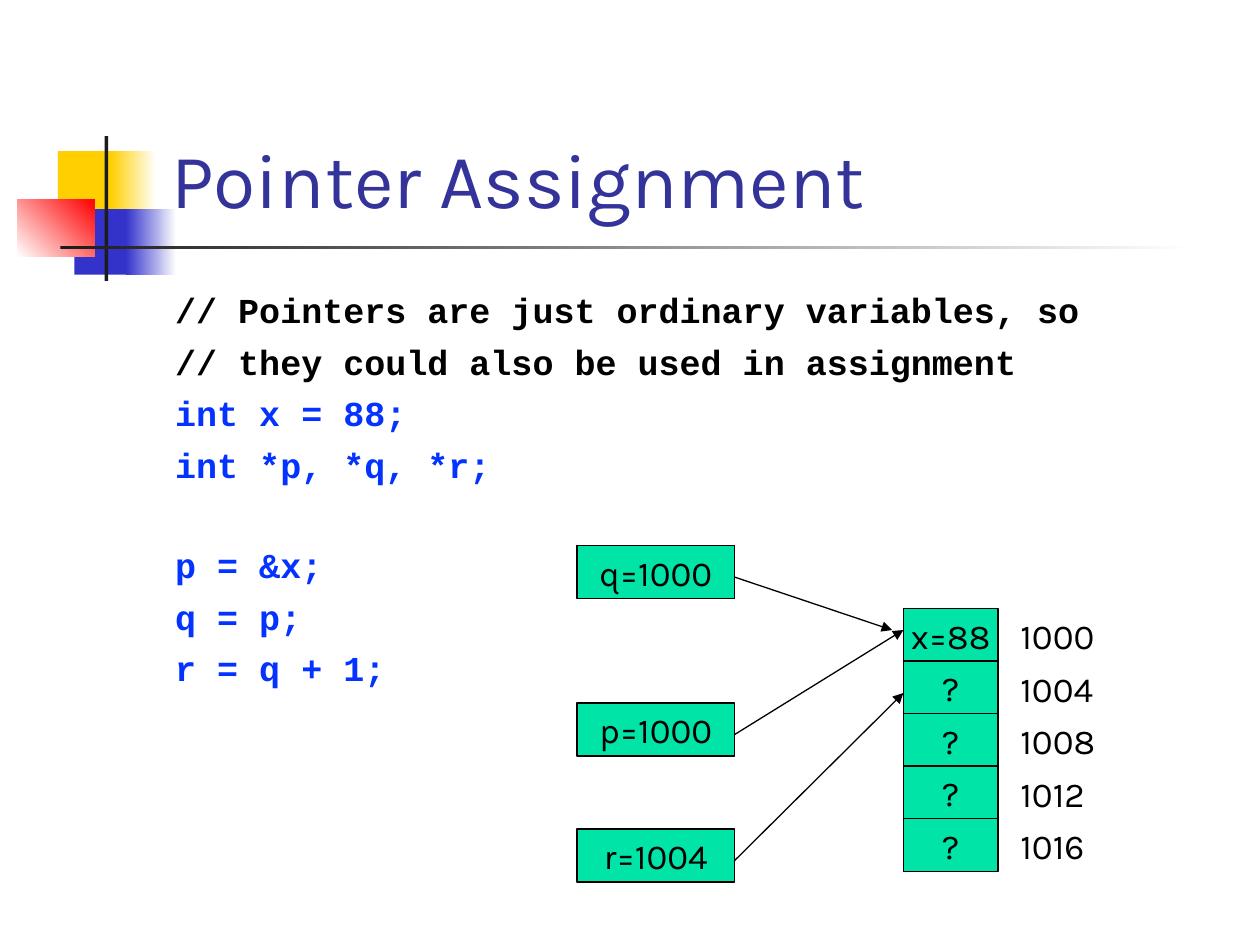
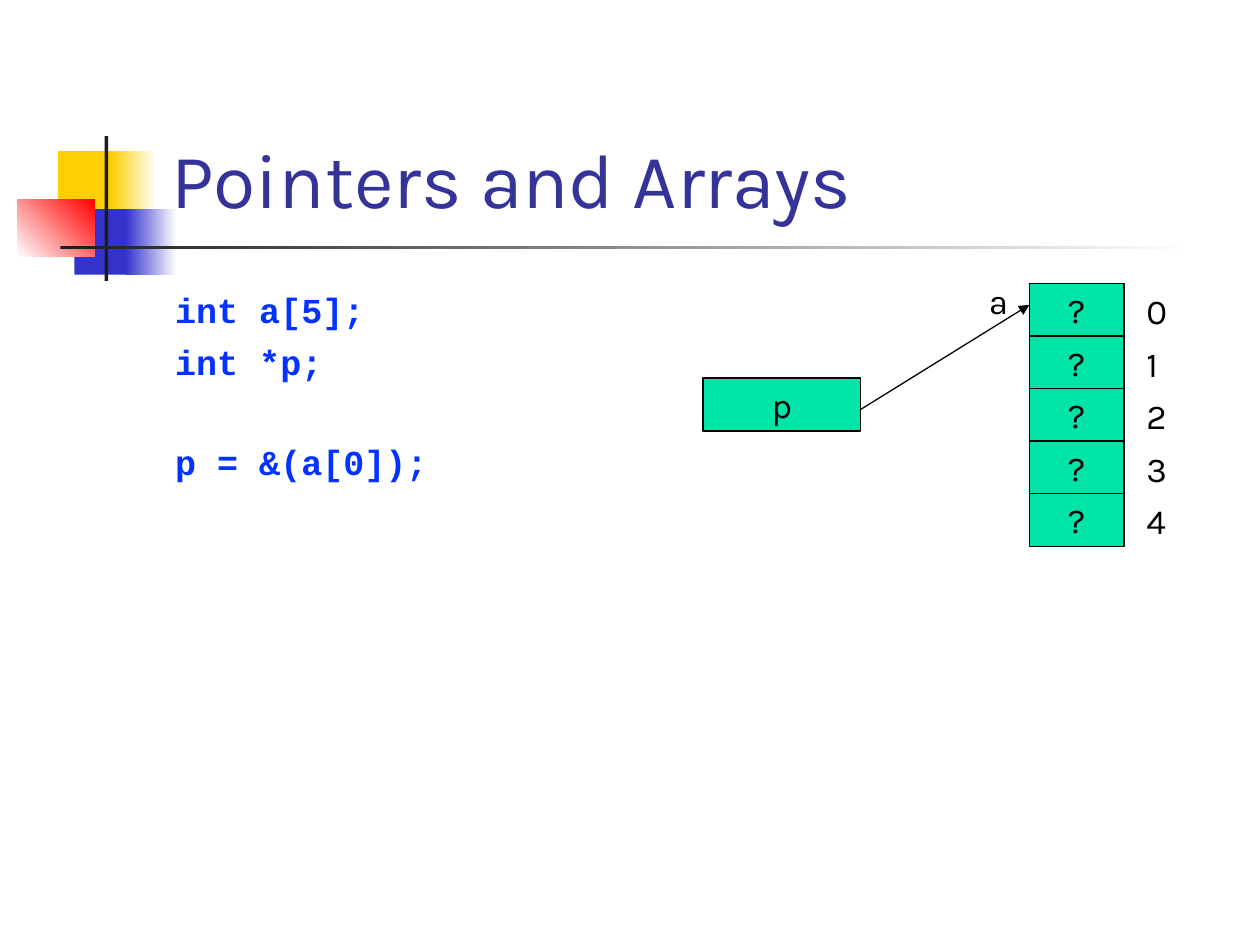
from dataclasses import dataclass
from lxml.etree import SubElement
from pptx import Presentation
from pptx.dml.color import RGBColor
from pptx.enum.shapes import MSO_CONNECTOR, MSO_SHAPE
from pptx.enum.text import MSO_ANCHOR, MSO_AUTO_SIZE, PP_ALIGN
from pptx.oxml.ns import qn
from pptx.util import Inches, Pt


@dataclass
class Theme:
    sans: str = "Karla"
    mono: str = "Courier New"
    head: int = 44
    text: int = 20
    title: str = "333399"
    code: str = "0432FF"
    black: str = "000000"
    white: str = "FFFFFF"
    cell: str = "00E4A8"
    gold: str = "FFCF01"
    blue: str = "3333CC"
    red: str = "FF0000"
    dark: str = "1C1C1C"


theme = Theme()


def style(para, face, size, color, bold=False):
    para.font.name = face
    para.font.size = Pt(size)
    para.font.bold = bold
    para.font.color.rgb = RGBColor.from_string(color)


def block(slide, area, *colors, angle=0):
    shape = slide.shapes.add_shape(MSO_SHAPE.RECTANGLE, *map(Inches, area))
    shape.shadow.inherit = False
    shape.line.fill.background()
    if len(colors) == 1:
        shape.fill.solid()
        shape.fill.fore_color.rgb = RGBColor.from_string(colors[0])
    else:
        shape.fill.gradient()
        shape.fill.gradient_angle = angle
        for stop, color in zip(shape.fill.gradient_stops, colors):
            stop.color.rgb = RGBColor.from_string(color)
    return shape


HIGH = 0.42
STEP = 5 / 12

pages = [
    {
        "title": "Pointer Assignment",
        "code": [
            ("// Pointers are just ordinary variables, so", theme.black, False),
            ("// they could also be used in assignment", theme.black, False),
            ("int x = 88;", theme.code, False),
            ("int *p, *q, *r;", theme.code, False),
            ("p = &x;", theme.code, True),
            ("q = p;", theme.code, False),
            ("r = q + 1;", theme.code, False),
        ],
        "array": (7.17, 4.83),
        "cells": ["x=88", "?", "?", "?", "?"],
        "marks": ["1000", "1004", "1008", "1012", "1016"],
        "wide": 1.42,
        "vars": [
            ("p=1000", 4.58, 5.58, 7.17, 5),
            ("q=1000", 4.58, 4.33, 7.08, 5),
            ("r=1004", 4.58, 6.58, 7.17, 5.5),
        ],
        "names": [],
    },
    {
        "title": "Pointers and Arrays",
        "code": [
            ("int a[5];", theme.code, False),
            ("int *p;", theme.code, False),
            ("p = &(a[0]);", theme.code, True),
        ],
        "array": (8.17, 2.25),
        "cells": ["?"] * 5,
        "marks": ["0", "1", "2", "3", "4"],
        "wide": 0.5,
        "vars": [("p", 5.58, 3, 8.17, 2.42)],
        "names": [("a", 7.75, 2.17, 0.5)],
    },
]

deck = Presentation()
deck.slide_width, deck.slide_height = Inches(10), Inches(7.5)
layout = deck.slide_layouts[1]

for index, page in enumerate(pages):
    slide = deck.slides.add_slide(layout)

    if index == 0:
        motif = [
            block(slide, (0.46, 1.2, 0.48, 0.52), theme.gold),
            block(slide, (0.88, 1.2, 0.36, 0.52), theme.gold, theme.white),
            block(slide, (0.59, 1.66, 0.46, 0.52), theme.blue),
            block(slide, (1, 1.66, 0.4, 0.52), theme.blue, theme.white),
            block(slide, (0.14, 1.58, 0.61, 0.46), theme.white, theme.red, angle=45),
            block(slide, (0.83, 1.08, 0.03, 1.15), theme.dark),
            block(slide, (0.48, 1.95, 9, 0.03), theme.dark, theme.white),
        ]
        for place, shape in enumerate(motif, 2):
            layout.shapes.element.insert(place, shape.element)

    title, body = slide.placeholders
    for holder, area in (
        (title, (1.26, 0.23, 8.52, 1.6)),
        (body, (1.29, 2.21, 8.5, 4.5)),
    ):
        holder.left, holder.top, holder.width, holder.height = map(Inches, area)
        holder.text_frame.auto_size = MSO_AUTO_SIZE.NONE
        holder.text_frame.word_wrap = True

    title.text_frame.text = page["title"]
    title.text_frame.vertical_anchor = MSO_ANCHOR.BOTTOM
    para = title.text_frame.paragraphs[0]
    para.alignment = PP_ALIGN.LEFT
    style(para, theme.sans, theme.head, theme.title)

    frame = body.text_frame
    frame.margin_top = Inches(0.08)
    frame.text = "\n".join(line for line, color, gap in page["code"])
    for row, (para, (line, color, gap)) in enumerate(zip(frame.paragraphs, page["code"])):
        props = para._p.get_or_add_pPr()
        props.set("marL", str(Inches(0.38)))
        props.set("indent", str(-Inches(0.38)))
        para.space_before = Pt(0 if row == 0 else 33.5 if gap else 5.4)
        SubElement(props, qn("a:buNone"))
        style(para, theme.mono, theme.text, color, True)

    left, top = page["array"]
    boxes = [
        (text, left, top + row * STEP, 0.75)
        for row, text in enumerate(page["cells"])
    ]
    boxes += [(text, x, y, 1.25) for text, x, y, *tip in page["vars"]]
    for text, x, y, wide in boxes:
        box = block(slide, (x, y, wide, HIGH), theme.cell)
        box.line.color.rgb = RGBColor.from_string(theme.black)
        box.line.width = Pt(0.75)
        box.text_frame.text = text
        box.text_frame.word_wrap = False
        box.text_frame.vertical_anchor = MSO_ANCHOR.MIDDLE
        para = box.text_frame.paragraphs[0]
        para.alignment = PP_ALIGN.CENTER
        style(para, theme.sans, theme.text, theme.black)

    for text, x, y, *tip in page["vars"]:
        ends = map(Inches, (x + 1.25, y + 0.25, *tip))
        arrow = slide.shapes.add_connector(MSO_CONNECTOR.STRAIGHT, *ends)
        arrow.line.color.rgb = RGBColor.from_string(theme.black)
        arrow.line.width = Pt(0.75)
        SubElement(arrow.line._get_or_add_ln(), qn("a:tailEnd"), type="triangle")
        SubElement(arrow._element.spPr, qn("a:effectLst"))

    labels = [
        (text, left + 0.83, top + row * STEP, page["wide"])
        for row, text in enumerate(page["marks"])
    ]
    for text, x, y, wide in labels + page["names"]:
        label = slide.shapes.add_textbox(*map(Inches, (x, y, wide, 0.43)))
        label.text_frame.text = text
        label.text_frame.word_wrap = True
        label.text_frame.auto_size = MSO_AUTO_SIZE.SHAPE_TO_FIT_TEXT
        style(label.text_frame.paragraphs[0], theme.sans, theme.text, theme.black)

deck.save("out.pptx")
